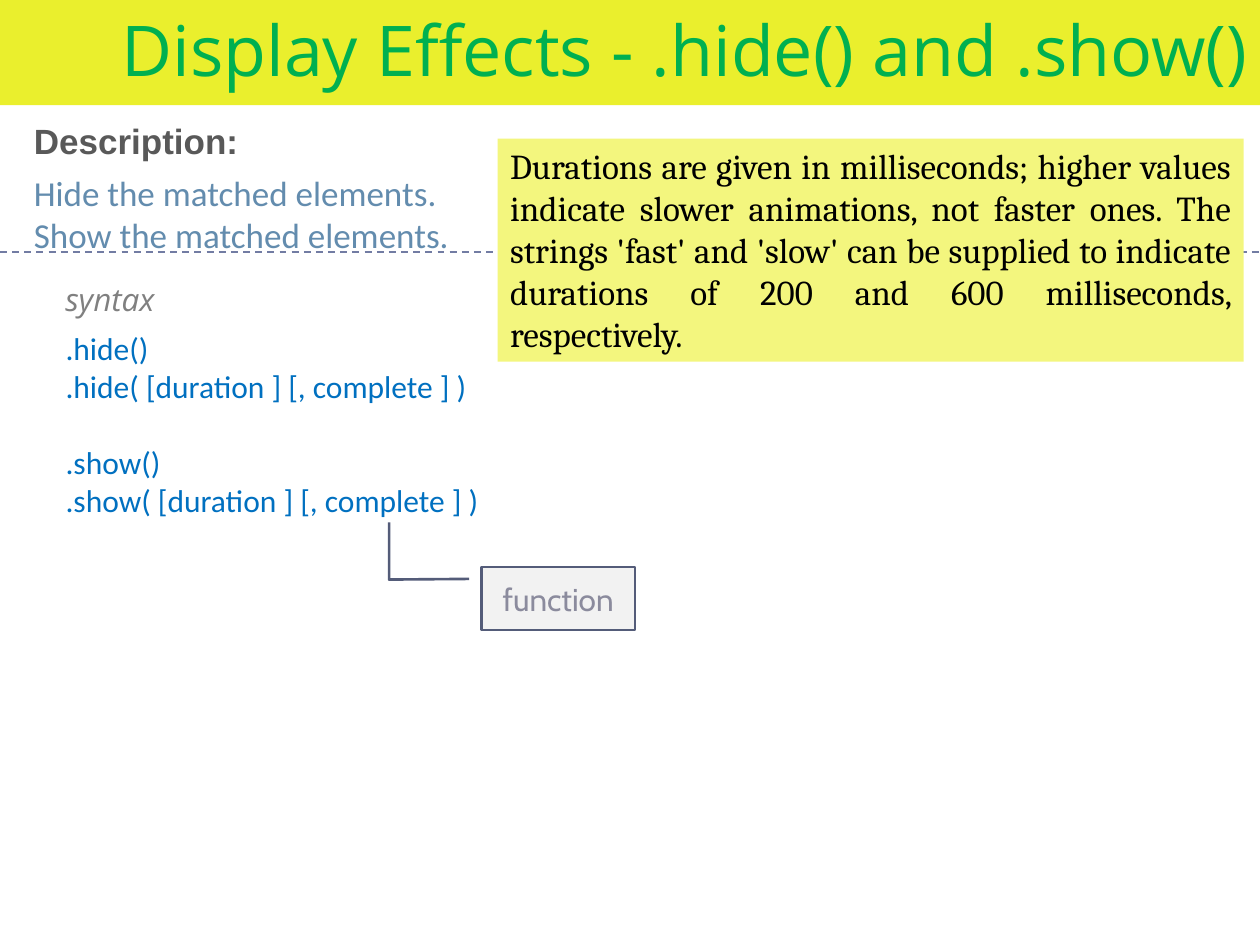
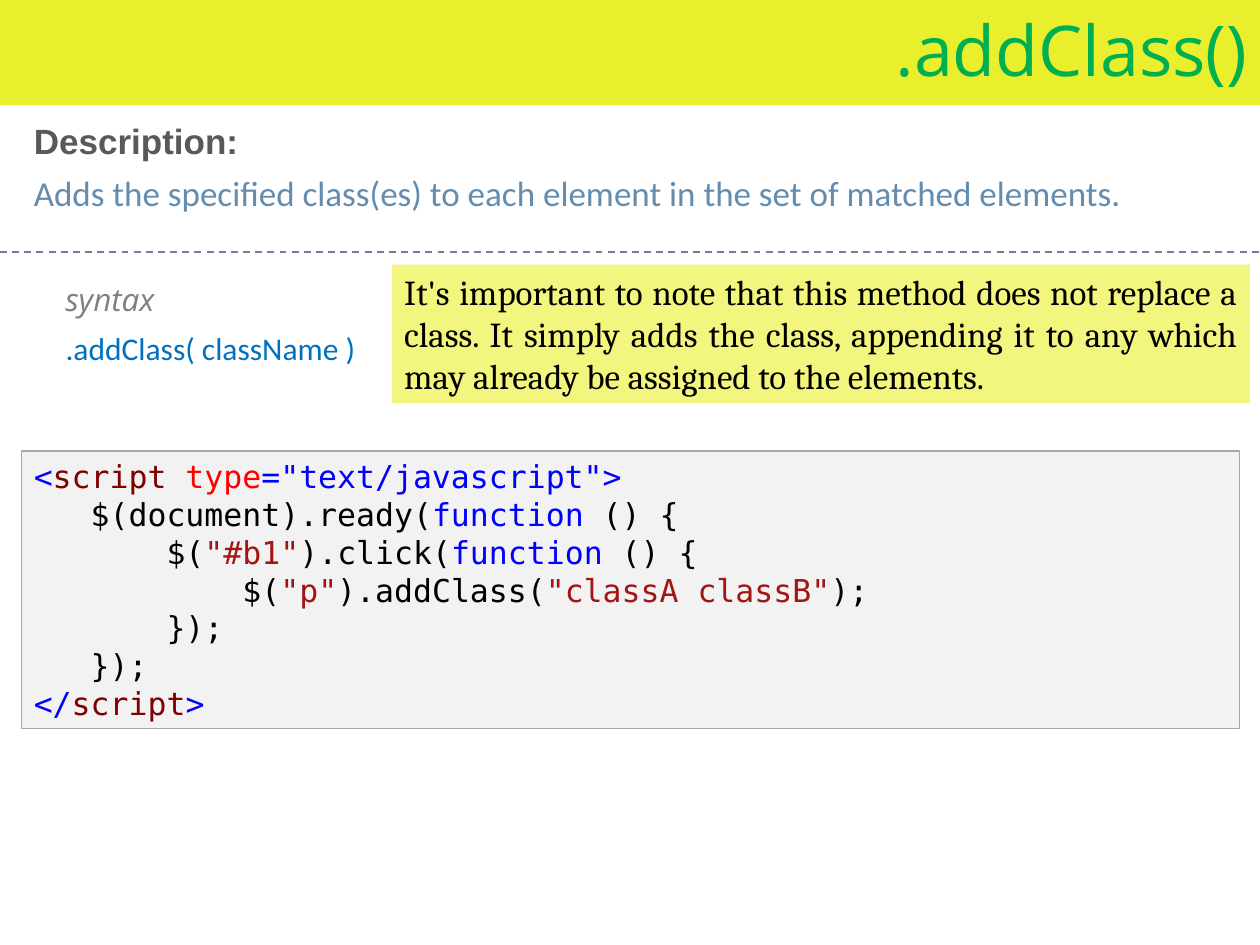
"""Build two slides that explain jQuery display and class methods."""
from dataclasses import dataclass

from lxml import etree
from pptx import Presentation
from pptx.dml.color import RGBColor
from pptx.enum.dml import MSO_LINE
from pptx.enum.shapes import MSO_CONNECTOR, MSO_SHAPE
from pptx.enum.text import MSO_ANCHOR, MSO_AUTO_SIZE, PP_ALIGN
from pptx.oxml.ns import qn
from pptx.util import Inches, Pt

RECTANGLE = MSO_SHAPE.RECTANGLE
BENT_CALLOUT = MSO_SHAPE.LINE_CALLOUT_2
STRAIGHT = MSO_CONNECTOR.STRAIGHT
DASH = MSO_LINE.DASH
TOP, MIDDLE = MSO_ANCHOR.TOP, MSO_ANCHOR.MIDDLE
LEFT, CENTER, RIGHT, JUSTIFY = PP_ALIGN.LEFT, PP_ALIGN.CENTER, PP_ALIGN.RIGHT, PP_ALIGN.JUSTIFY
GROW = MSO_AUTO_SIZE.SHAPE_TO_FIT_TEXT


@dataclass(frozen=True)
class Style:
    font: str
    size: int
    color: str
    align: PP_ALIGN = LEFT
    bold: bool = False
    italic: bool = False


THEME = {
    "title": Style("Open Sans", 40, "00B050", RIGHT),
    "heading": Style("Arial", 20, "595959", bold=True),
    "description": Style("Calibri", 20, "638CAE"),
    "label": Style("Open Sans", 18, "808080", italic=True),
    "syntax": Style("Calibri", 18, "0070C0"),
    "note": Style("Cambria", 20, "000000", JUSTIFY),
    "callout": Style("Cabin", 18, "8B8B9D", CENTER),
    "code": Style("DejaVu Sans Mono", 18, "000000"),
    "band_fill": "EAEF2D",
    "note_fill": "F3F67E",
    "panel_fill": "F2F2F2",
    "divider": "727CA3",
    "callout_line": "545C79",
    "code_line": "A6A6A6",
}
PLAIN, BLUE, MAROON, RED, STRING = "000000", "0000FF", "800000", "FF0000", "A31515"

SLIDES = [
    {
        "title": "Display Effects - .hide() and .show()",
        "description": ["Hide the matched elements.", "Show the matched elements."],
        "syntax_groups": [
            [".hide()", ".hide( [duration ] [, complete ] )"],
            [".show()", ".show( [duration ] [, complete ] )"],
        ],
        "note": "Durations are given in milliseconds; higher values indicate slower animations, "
                "not faster ones. The strings 'fast' and 'slow' can be supplied to indicate "
                "durations of 200 and 600 milliseconds, respectively.",
        "note_place": (3.95, 1.1, 5.92),
        "note_lines": 5,
        "callout": "function",
    },
    {
        "title": ".addClass()",
        "description": ["Adds the specified class(es) to each element in the set of matched elements."],
        "syntax_groups": [[".addClass( className )"]],
        "note": "It's important to note that this method does not replace a class. It simply adds "
                "the class, appending it to any which may already be assigned to the elements.",
        "note_place": (3.11, 2.1, 6.81),
        "note_lines": 3,
        "code": [
            [("<", BLUE), ("script ", MAROON), ("type", RED), ('="text/javascript">', BLUE)],
            [("   $(document).ready(", PLAIN), ("function", BLUE), (" () {", PLAIN)],
            [("       $(", PLAIN), ('"#b1"', STRING), (").click(", PLAIN),
             ("function", BLUE), (" () {", PLAIN)],
            [("           $(", PLAIN), ('"p"', STRING), (").addClass(", PLAIN),
             ('"classA classB"', STRING), (");", PLAIN)],
            [("       });", PLAIN)],
            [("   });", PLAIN)],
            [("</", BLUE), ("script", MAROON), (">", BLUE)],
        ],
    },
]

SLIDE_WIDTH, SLIDE_HEIGHT = 10, 7.5
DIVIDER_TOP = 2
CALLOUT_PLACE = (3.82, 4.5, 1.22, 0.5)
CALLOUT_BENDS = (0.19, -0.08, 0.2, -0.6, -0.71, -0.6)
BLANK_LINE = Pt(22)


def text_height(style, lines):
    """Return the height in inches of a box that holds the given lines."""
    return round(lines * style.size * 1.2 / 72 + 0.1, 2)


def place(shape, left, top, width, height):
    """Set the position and size of a shape in inches."""
    shape.left, shape.top = Inches(left), Inches(top)
    shape.width, shape.height = Inches(width), Inches(height)


def paint(shape, fill, line=None, line_width=0.75):
    """Give a shape a solid fill and an optional outline."""
    shape.fill.solid()
    shape.fill.fore_color.rgb = RGBColor.from_string(fill)
    if line:
        shape.line.color.rgb = RGBColor.from_string(line)
        shape.line.width = Pt(line_width)
    else:
        shape.line.fill.background()


def write(shape, lines, style, anchor=TOP, gaps=()):
    """Write lines of (text, color) runs, with a blank line's space before those in gaps."""
    frame = shape.text_frame
    frame.word_wrap = True
    frame.auto_size = GROW if anchor == TOP else MSO_AUTO_SIZE.NONE
    frame.vertical_anchor = anchor
    for index, runs in enumerate(lines):
        paragraph = frame.add_paragraph() if index else frame.paragraphs[0]
        paragraph.alignment = style.align
        paragraph.space_before = BLANK_LINE if index in gaps else Pt(0)
        if shape.is_placeholder:
            properties = paragraph._p.get_or_add_pPr()
            properties.set("marL", "0")
            properties.set("indent", "0")
            etree.SubElement(properties, qn("a:buNone"))
        for text, color in runs:
            run = paragraph.add_run()
            run.text = text
            font = run.font
            font.name, font.size = style.font, Pt(style.size)
            font.bold, font.italic = style.bold, style.italic
            font.color.rgb = RGBColor.from_string(color)


def plain(texts, style):
    """Turn each text into a line of one run in the style's color."""
    return [[(text, style.color)] for text in texts]


def add_text(slide, texts, style_name, left, top, width):
    """Add a text box as tall as its lines."""
    style = THEME[style_name]
    box = slide.shapes.add_textbox(0, 0, 0, 0)
    place(box, left, top, width, text_height(style, len(texts)))
    write(box, plain(texts, style), style)


def add_panel(slide, kind, position, fill, line=None, line_width=0.75):
    """Add a flat preset shape."""
    panel = slide.shapes.add_shape(kind, *map(Inches, position))
    panel.shadow.inherit = False
    paint(panel, fill, line, line_width)
    return panel


def add_divider(slide):
    """Draw the dashed line below the description."""
    top = Inches(DIVIDER_TOP)
    divider = slide.shapes.add_connector(STRAIGHT, 0, top, Inches(SLIDE_WIDTH), top)
    divider.line.color.rgb = RGBColor.from_string(THEME["divider"])
    divider.line.width = Pt(1)
    divider.line.dash_style = DASH
    etree.SubElement(divider._element.spPr, qn("a:effectLst"))


def add_syntax(body, groups):
    """Fill the body placeholder with groups of calls, set apart by space."""
    style = THEME["syntax"]
    calls = [call for group in groups for call in group]
    gaps = {sum(map(len, groups[:index])) for index in range(1, len(groups))}
    place(body, 0.42, 2.56, 9.17, text_height(style, len(calls) + len(gaps)))
    write(body, plain(calls, style), style, gaps=gaps)


def add_note(slide, content):
    """Add the yellow note."""
    style = THEME["note"]
    position = (*content["note_place"], text_height(style, content["note_lines"]))
    note = add_panel(slide, RECTANGLE, position, THEME["note_fill"])
    write(note, plain([content["note"]], style), style)


def add_callout(slide, text):
    """Add the callout that points at the last argument."""
    style = THEME["callout"]
    callout = add_panel(slide, BENT_CALLOUT, CALLOUT_PLACE, THEME["panel_fill"],
                        THEME["callout_line"], 1.5)
    for index, bend in enumerate(CALLOUT_BENDS):
        callout.adjustments[index] = bend
    write(callout, plain([text], style), style, MIDDLE)


def add_code(slide, lines):
    """Add the panel of colored code."""
    style = THEME["code"]
    position = (0.17, 3.58, 9.67, text_height(style, len(lines)))
    panel = add_panel(slide, RECTANGLE, position, THEME["panel_fill"], THEME["code_line"])
    write(panel, lines, style)


def build_slide(presentation, content):
    """Add one method slide."""
    slide = presentation.slides.add_slide(presentation.slide_layouts[1])
    title, body = slide.placeholders
    style = THEME["title"]
    place(title, 0, 0, SLIDE_WIDTH, text_height(style, 1))
    paint(title, THEME["band_fill"])
    write(title, plain([content["title"]], style), style)
    add_text(slide, content["description"], "description", 0.17, 1.31, 9.67)
    add_text(slide, ["Description:"], "heading", 0.17, 0.9, 9.42)
    add_divider(slide)
    add_syntax(body, content["syntax_groups"])
    add_text(slide, ["syntax"], "label", 0.42, 2.17, 9.17)
    add_note(slide, content)
    if "callout" in content:
        add_callout(slide, content["callout"])
    if "code" in content:
        add_code(slide, content["code"])


def main():
    """Build and save the presentation."""
    presentation = Presentation()
    presentation.slide_width = Inches(SLIDE_WIDTH)
    presentation.slide_height = Inches(SLIDE_HEIGHT)
    for content in SLIDES:
        build_slide(presentation, content)
    presentation.save("out.pptx")


if __name__ == "__main__":
    main()
